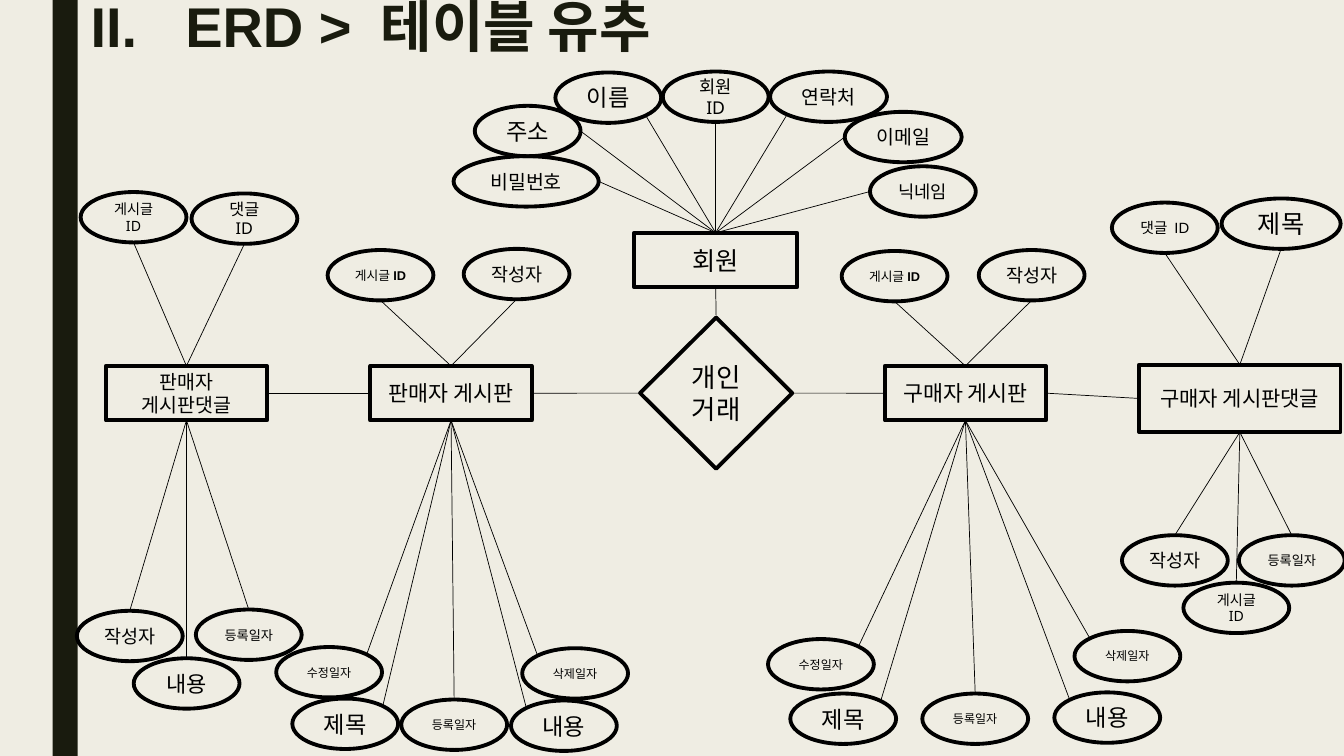
from lxml.etree import SubElement
from pptx import Presentation
from pptx.dml.color import RGBColor
from pptx.enum.shapes import MSO_CONNECTOR, MSO_SHAPE
from pptx.enum.text import MSO_ANCHOR, PP_ALIGN
from pptx.oxml.ns import qn
from pptx.util import Pt

PAPER = RGBColor(0xEF, 0xED, 0xE3)
OLIVE = RGBColor(0x19, 0x1B, 0x0E)
BLACK = RGBColor(0, 0, 0)
LATIN, NOTO, HANGUL = "Arial", "Noto Sans", "Noto Sans CJK KR"

TOP, BOTTOM, LEFT, RIGHT = (0, -1), (0, 1), (-1, 0), (1, 0)
DIAGONAL = 0.71
TOP_LEFT, TOP_RIGHT = (-DIAGONAL, -DIAGONAL), (DIAGONAL, -DIAGONAL)
BOTTOM_LEFT, BOTTOM_RIGHT = (-DIAGONAL, DIAGONAL), (DIAGONAL, DIAGONAL)

prs = Presentation()
prs.slide_width, prs.slide_height = Pt(960), Pt(540)
slide = prs.slides.add_slide(prs.slide_layouts[6])
slide.background.fill.solid()
slide.background.fill.fore_color.rgb = PAPER


def write(text, *, box, size, font=NOTO, color=BLACK, outline=None, bold=False,
          bold_tail="", align=PP_ALIGN.CENTER, anchor=MSO_ANCHOR.MIDDLE):
    frame_box = [Pt(length) for length in box]
    if outline is None:
        holder = slide.shapes.add_textbox(*frame_box)
    else:
        holder = slide.shapes.add_shape(outline, *frame_box)
        holder.shadow.inherit = False
        holder.fill.background()
        holder.line.color.rgb = BLACK
        holder.line.width = Pt(2.75)
    frame = holder.text_frame
    frame.word_wrap = True
    frame.vertical_anchor = anchor
    paragraph = frame.paragraphs[0]
    paragraph.text = text
    paragraph.alignment = align
    if bold_tail:
        paragraph.add_run().text = bold_tail
    for run in paragraph.runs:
        run.font.name, run.font.size = font, Pt(size)
        run.font.color.rgb = color
        run.font.bold = bold or run.text == bold_tail
        SubElement(run.font._element, qn("a:ea"), typeface=HANGUL)
    return holder


def connect(start, start_side, end, end_side):
    ends = []
    for (left, top, width, height), (dx, dy) in ((start, start_side), (end, end_side)):
        ends += [Pt(left + width * (1 + dx) / 2), Pt(top + height * (1 + dy) / 2)]
    link = slide.shapes.add_connector(MSO_CONNECTOR.STRAIGHT, *ends)
    link.line.color.rgb = BLACK
    link.line.width = Pt(0.5)
    SubElement(link._element.spPr, qn("a:effectLst"))


side_band = slide.shapes.add_shape(MSO_SHAPE.RECTANGLE, Pt(37.5), 0, Pt(18), Pt(540))
side_band.shadow.inherit = False
side_band.fill.solid()
side_band.fill.fore_color.rgb = OLIVE
side_band.line.fill.background()

title = write("ERD > 테이블 유추", box=(57.6, 0, 423.4, 46.8), size=40, font=LATIN,
              color=OLIVE, bold=True, align=PP_ALIGN.LEFT, anchor=MSO_ANCHOR.TOP)
title.text_frame.margin_top = 0
heading = title.text_frame.paragraphs[0]
heading.line_spacing = 0.89
numbering = heading._p.get_or_add_pPr()
numbering.set("marL", str(Pt(67.7)))
numbering.set("indent", str(Pt(-67.7)))
SubElement(numbering, qn("a:buFont"), typeface=LATIN)
SubElement(numbering, qn("a:buAutoNum"), type="romanUcPeriod", startAt="2")

RECT, DIAMOND = MSO_SHAPE.RECTANGLE, MSO_SHAPE.DIAMOND
entities = {
    "회원": ((452.9, 166.3, 116.6, 38.9), RECT, 18, NOTO),
    "개인거래": ((457.2, 226.8, 108.7, 108), DIAMOND, 19, LATIN),
    "판매자 게시판": ((264.6, 261.4, 115.2, 38.9), RECT, 15.5, LATIN),
    "판매자 게시판댓글": ((75.6, 261.4, 115.2, 38.9), RECT, 13.9, NOTO),
    "구매자 게시판": ((632, 261.4, 115.2, 38.9), RECT, 15.5, LATIN),
    "구매자 게시판댓글": ((813.6, 260.5, 144, 48.2), RECT, 15, LATIN),
}
for name, (box, outline, size, font) in entities.items():
    write(name, box=box, outline=outline, size=size, font=font)

relations = [
    ("회원", BOTTOM, "개인거래", TOP),
    ("판매자 게시판댓글", RIGHT, "판매자 게시판", LEFT),
    ("판매자 게시판", RIGHT, "개인거래", LEFT),
    ("개인거래", RIGHT, "구매자 게시판", LEFT),
    ("구매자 게시판", RIGHT, "구매자 게시판댓글", LEFT),
]
for first, first_side, second, second_side in relations:
    connect(entities[first][0], first_side, entities[second][0], second_side)

NARROW, MEDIUM, BROAD, WIDE = 75.6, 83.5, 85, 103.7
attributes = {
    "회원": [
        ("비밀번호", 324, 111.6, WIDE, 13.9, NOTO, RIGHT),
        ("주소", 339.1, 75.6, NARROW, 16.6, NOTO, RIGHT),
        ("이름", 396.7, 51.8, NARROW, 16.6, NOTO, BOTTOM_RIGHT),
        ("회원\vID", 473.4, 51.1, NARROW, 12.6, NOTO, BOTTOM),
        ("연락처", 550.1, 51.1, MEDIUM, 13.9, NOTO, BOTTOM_LEFT),
        ("이메일", 603.4, 79.9, MEDIUM, 13.9, NOTO, LEFT),
        ("닉네임", 621.4, 118.8, NARROW, 12.6, NOTO, LEFT),
    ],
    "판매자 게시판": [
        ("게시글", 234, 178.6, NARROW, 9.1, LATIN, BOTTOM),
        ("작성자", 331.2, 177.8, NARROW, 13.2, LATIN, BOTTOM),
        ("수정일자", 197.3, 462.2, NARROW, 8.6, NOTO, TOP_RIGHT),
        ("제목", 208.8, 499, NARROW, 16.6, NOTO, TOP_RIGHT),
        ("등록일자", 286.6, 499.7, NARROW, 8.6, NOTO, TOP),
        ("내용", 365, 500.4, NARROW, 16.6, NOTO, TOP_LEFT),
        ("삭제일자", 373, 463, NARROW, 8.6, NOTO, TOP_LEFT),
    ],
    "판매자 게시판댓글": [
        ("게시글\vID", 57.6, 137.2, NARROW, 10.1, NOTO, BOTTOM),
        ("댓글\vID", 136.8, 138.2, NARROW, 11.6, NOTO, BOTTOM),
        ("작성자", 54.9, 436.3, NARROW, 13.2, LATIN, TOP),
        ("내용", 95.5, 470.2, NARROW, 15.7, LATIN, TOP),
        ("등록일자", 139.9, 435.4, NARROW, 9.4, LATIN, TOP),
    ],
    "구매자 게시판": [
        ("게시글", 601.2, 179.3, NARROW, 9.1, LATIN, BOTTOM),
        ("작성자", 699.1, 178.6, NARROW, 13.2, LATIN, BOTTOM),
        ("수정일자", 548.6, 456.5, NARROW, 8.6, NOTO, TOP_RIGHT),
        ("제목", 564.5, 495.4, NARROW, 16.6, NOTO, TOP_RIGHT),
        ("등록일자", 658.8, 495.4, NARROW, 8.6, NOTO, TOP),
        ("내용", 753.1, 494.6, NARROW, 16.6, NOTO, TOP_LEFT),
        ("삭제일자", 767.5, 450.7, NARROW, 8.6, NOTO, TOP_LEFT),
    ],
    "구매자 게시판댓글": [
        ("댓글 ID", 794.2, 144.7, NARROW, 10.6, LATIN, BOTTOM),
        ("제목", 872.6, 141.8, BROAD, 18, NOTO, BOTTOM),
        ("작성자", 801.4, 382.3, NARROW, 13.2, LATIN, TOP),
        ("게시글\vID", 845.3, 416.2, NARROW, 10.1, NOTO, TOP),
        ("등록일자", 884.9, 382.3, NARROW, 9.4, LATIN, TOP),
    ],
}
for owner, ovals in attributes.items():
    owner_box = entities[owner][0]
    for label, left, top, width, size, font, side in ovals:
        oval_box = (left, top, width, 36)
        write(label, box=oval_box, outline=MSO_SHAPE.OVAL, size=size, font=font,
              bold_tail="ID" if label == "게시글" else "")
        connect(owner_box, TOP if top < owner_box[1] else BOTTOM, oval_box, side)

prs.save("out.pptx")
